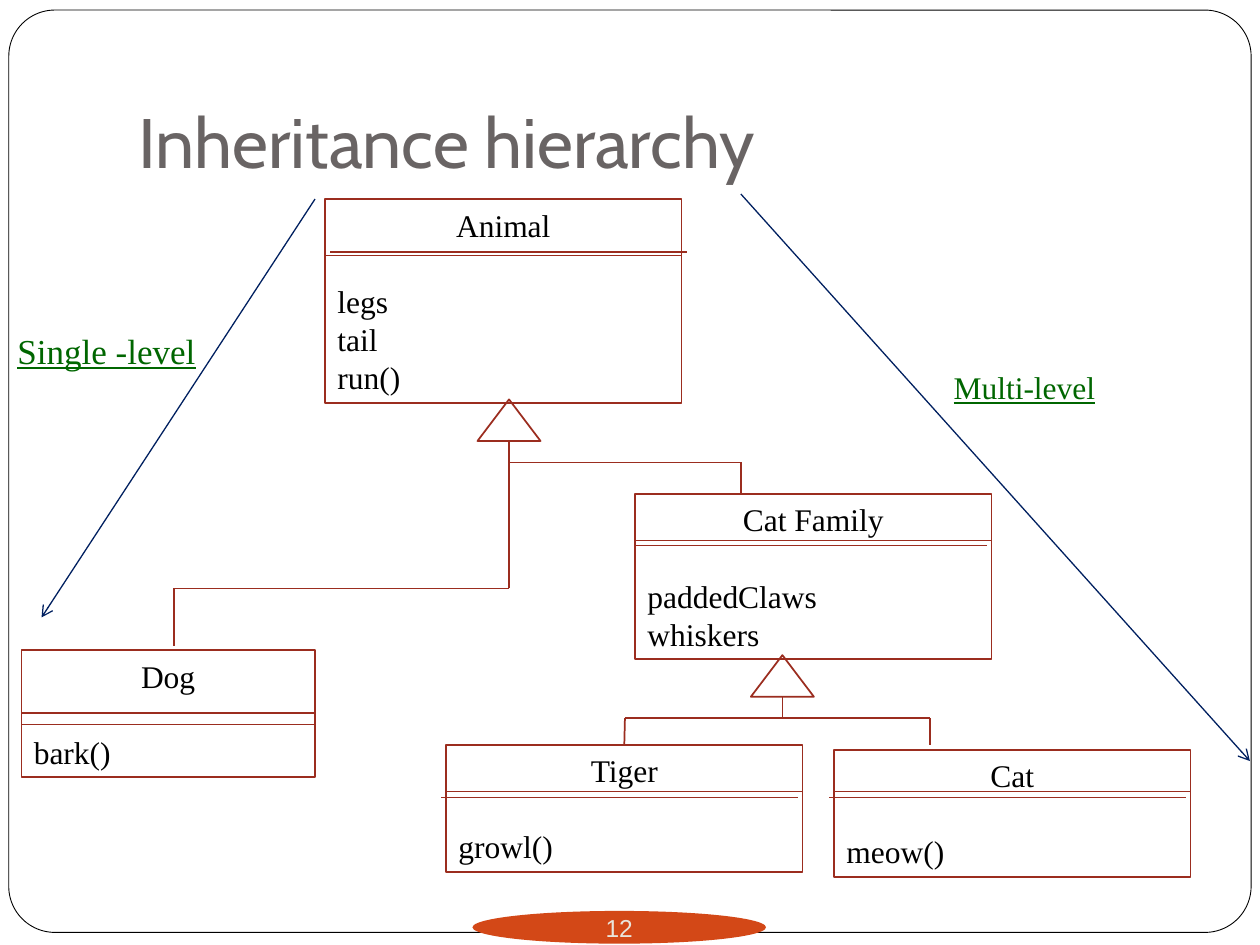
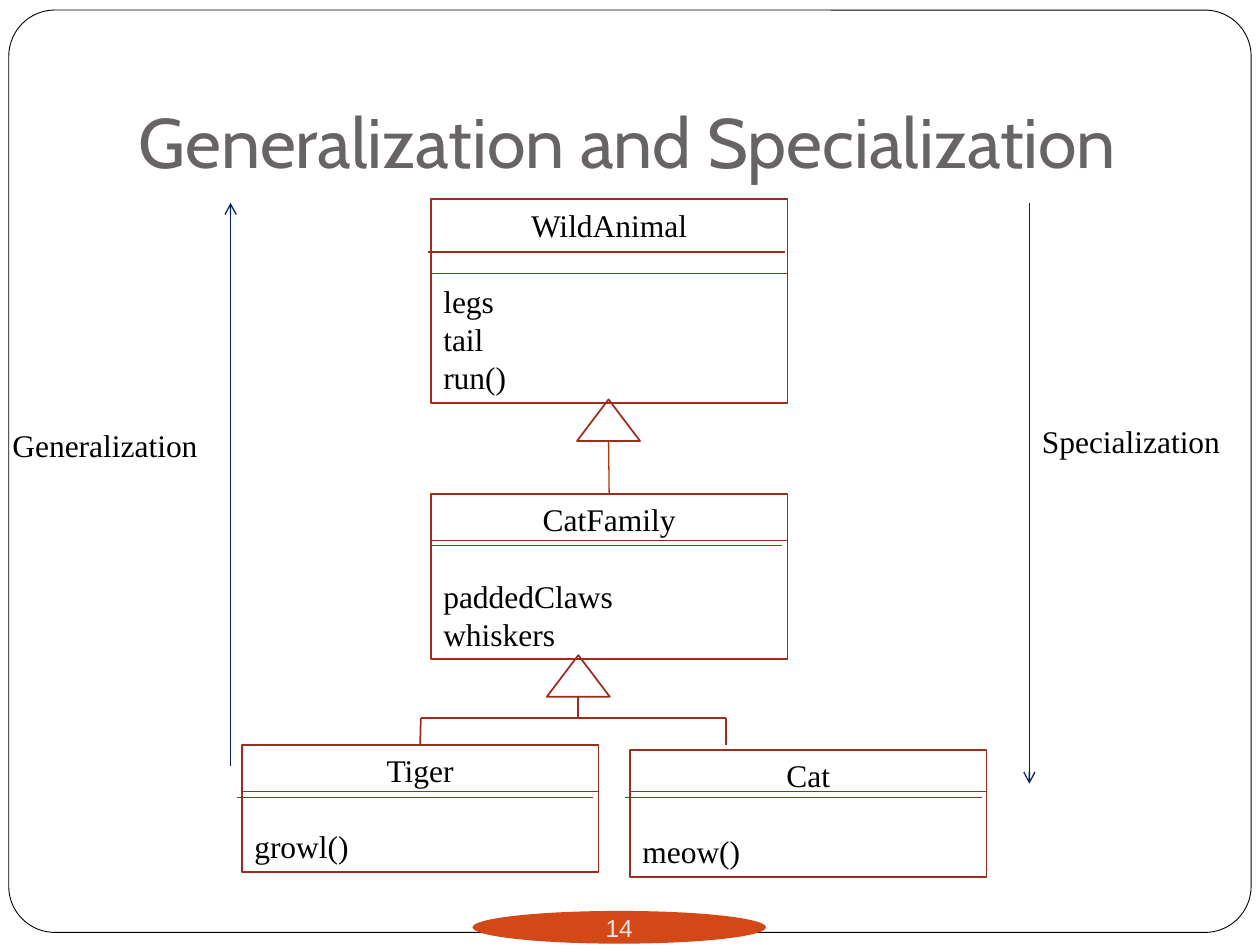
from lxml import etree
from pptx import Presentation
from pptx.dml.color import RGBColor
from pptx.enum.shapes import MSO_CONNECTOR, MSO_SHAPE
from pptx.enum.text import MSO_ANCHOR, MSO_AUTO_SIZE, PP_ALIGN
from pptx.oxml.ns import qn
from pptx.util import Inches, Pt

COLORS = {
    "white": "FFFFFF",
    "black": "000000",
    "title": "696464",
    "badge": "D34817",
    "badge_text": "E9E5DC",
    "uml": "9B2D1F",
    "stem": "B1360B",
    "arrow": "002060",
    "label": "006600",
}
BOX_W = 2.83
LINE_RATIO = 1.21


def color(name):
    return RGBColor.from_string(COLORS[name])


def write(p, text, font="Times New Roman", size=18, fill="black",
          align=PP_ALIGN.LEFT, underline=None, line_pt=None, before=0):
    p.alignment = align
    p.space_before = Pt(before)
    if line_pt:
        p.line_spacing = Pt(line_pt)
    r = p.add_run()
    r.text = text
    r.font.name = font
    r.font.size = Pt(size)
    r.font.color.rgb = color(fill)
    r.font.underline = underline


def add_shape(s, kind, x, y, w, h, fill=None, line=None, width=1):
    sp = s.shapes.add_shape(kind, Inches(x), Inches(y), Inches(w), Inches(h))
    sp.shadow.inherit = False
    if fill:
        sp.fill.solid()
        sp.fill.fore_color.rgb = color(fill)
    else:
        sp.fill.background()
    if line:
        sp.line.color.rgb = color(line)
        sp.line.width = Pt(width)
    else:
        sp.line.fill.background()
    return sp


def add_line(s, start, end, line="uml", width=1.0, arrow=False):
    points = [Inches(v) for v in (*start, *end)]
    cxn = s.shapes.add_connector(MSO_CONNECTOR.STRAIGHT, *points)
    cxn.line.color.rgb = color(line)
    cxn.line.width = Pt(width)
    if arrow:
        etree.SubElement(cxn.line._get_or_add_ln(), qn("a:tailEnd"), type="arrow")
    etree.SubElement(cxn.element.spPr, qn("a:effectLst"))
    return cxn


def add_path(s, *points):
    for start, end in zip(points, points[1:]):
        add_line(s, start, end)


def add_label(s, text, x, y, w, h, wrap=True, size=18, **fmt):
    tf = s.shapes.add_textbox(Inches(x), Inches(y), Inches(w), Inches(h)).text_frame
    tf.word_wrap = wrap
    write(tf.paragraphs[0], text, size=size, line_pt=size * LINE_RATIO, **fmt)


def class_box(s, name, members, x, y, h, rules, w=BOX_W):
    sp = add_shape(s, MSO_SHAPE.RECTANGLE, x, y, w, h, "white", "uml")
    tf = sp.text_frame
    tf.word_wrap = True
    tf.auto_size = MSO_AUTO_SIZE.NONE
    tf.vertical_anchor = MSO_ANCHOR.TOP
    line_pt = 18 * LINE_RATIO
    write(tf.paragraphs[0], name, align=PP_ALIGN.CENTER, line_pt=line_pt)
    for i, member in enumerate(members):
        write(tf.add_paragraph(), member, line_pt=line_pt,
              before=0 if i else line_pt)
    for left, right, drop in rules:
        add_line(s, (x + left, y + drop), (x + w + right, y + drop), width=0.75)
    return sp


def inheritance_triangle(s, x, y):
    add_shape(s, MSO_SHAPE.ISOSCELES_TRIANGLE, x - 0.25, y, 0.5, 0.33, line="uml")


def animal_box(s, name, x, rules):
    class_box(s, name, ["legs", "tail", "run()"], x, 1.58, 1.62, rules)


def cat_family_tree(s, name, x):
    family = class_box(s, name, ["paddedClaws", "whiskers"], x, 3.92, 1.31,
                       [(0, 0, 0.37), (0, -0.04, 0.41)])
    tiger = class_box(s, "Tiger", ["growl()"], x - 1.5, 5.91, 1.01,
                      [(0, 0, 0.37), (-0.04, -0.04, 0.42)])
    class_box(s, "Cat", ["meow()"], x + 1.58, 5.95, 1.01,
              [(0, 0, 0.33), (-0.04, -0.04, 0.38)])
    fork_x, tiger_x, cat_x = x + 1.17, x - 0.08, x + 2.34
    inheritance_triangle(s, fork_x, 5.2)
    add_line(s, (fork_x, 5.53), (fork_x, 5.7))
    add_path(s, (tiger_x, 5.7), (cat_x, 5.7), (cat_x, 5.91))
    add_line(s, (tiger_x, 5.91), (tiger_x, 5.7)).begin_connect(tiger, 0)
    return family


def new_slide(prs, title, number):
    s = prs.slides.add_slide(prs.slide_layouts[5])
    ph = s.shapes.title
    ph.left, ph.top, ph.width, ph.height = map(Inches, (1, 0.3, 8.5, 1.25))
    tf = ph.text_frame
    tf.auto_size = MSO_AUTO_SIZE.NONE
    tf.vertical_anchor = MSO_ANCHOR.BOTTOM
    tf.margin_bottom = Inches(0.1)
    write(tf.paragraphs[0], title, font="Cabin", size=40, fill="title")

    frame = add_shape(s, MSO_SHAPE.ROUNDED_RECTANGLE, 0.07, 0.08, 9.86, 7.32,
                      "white", "black", 0.5)
    frame.adjustments[0] = 0.05
    ph.element.addprevious(frame.element)

    badge = add_shape(s, MSO_SHAPE.OVAL, 3.75, 7.23, 2.33, 0.26, "badge")
    tf = badge.text_frame
    tf.word_wrap = False
    tf.margin_left = tf.margin_right = tf.margin_top = tf.margin_bottom = 0
    tf.vertical_anchor = MSO_ANCHOR.MIDDLE
    write(tf.paragraphs[0], str(number), font="Arial", size=14,
          fill="badge_text", align=PP_ALIGN.CENTER)
    return s


def hierarchy_slide(prs):
    s = new_slide(prs, "Inheritance hierarchy", 12)
    animal_box(s, "Animal", 2.58, [(0, 0, 0.45), (0.04, 0.04, 0.42)])
    class_box(s, "Dog", ["bark()"], 0.17, 5.16, 1.01,
              [(0, 0, 0.5), (0, 0, 0.59)], w=2.33)
    cat_family_tree(s, "Cat Family", 5.04)
    inheritance_triangle(s, 4.04, 3.17)
    add_path(s, (4.04, 3.5), (4.04, 4.67), (1.38, 4.67), (1.38, 5.13))
    add_path(s, (4.04, 3.67), (5.88, 3.67), (5.88, 3.92))
    add_line(s, (2.5, 1.58), (0.33, 4.9), "arrow", 0.75, arrow=True)
    add_line(s, (5.88, 1.54), (9.92, 6.04), "arrow", 0.75, arrow=True)
    add_label(s, "Single -level", 0.04, 2.56, 1.73, 0.44, wrap=False,
              size=20, fill="label", underline=True)
    add_label(s, "Multi-level", 7.47, 2.87, 1.34, 0.4, wrap=False,
              fill="label", underline=True)


def generalization_slide(prs):
    s = new_slide(prs, "Generalization and Specialization", 14)
    animal_box(s, "WildAnimal", 3.42, [(-0.02, -0.02, 0.42), (0, 0, 0.59)])
    family = cat_family_tree(s, "CatFamily", 3.42)
    inheritance_triangle(s, 4.83, 3.17)
    add_line(s, (4.83, 3.5), (4.83, 3.92), "stem", 0.75).end_connect(family, 0)
    add_line(s, (8.17, 1.61), (8.17, 6.22), "arrow", 0.75, arrow=True)
    add_line(s, (1.83, 6.08), (1.83, 1.61), "arrow", 0.75, arrow=True)
    add_label(s, "Specialization", 8.17, 3.3, 1.75, 0.41)
    add_label(s, "Generalization", 0, 3.33, 2.08, 0.4)


def main():
    prs = Presentation()
    prs.slide_width, prs.slide_height = Inches(10), Inches(7.5)
    hierarchy_slide(prs)
    generalization_slide(prs)
    prs.save("out.pptx")


if __name__ == "__main__":
    main()
